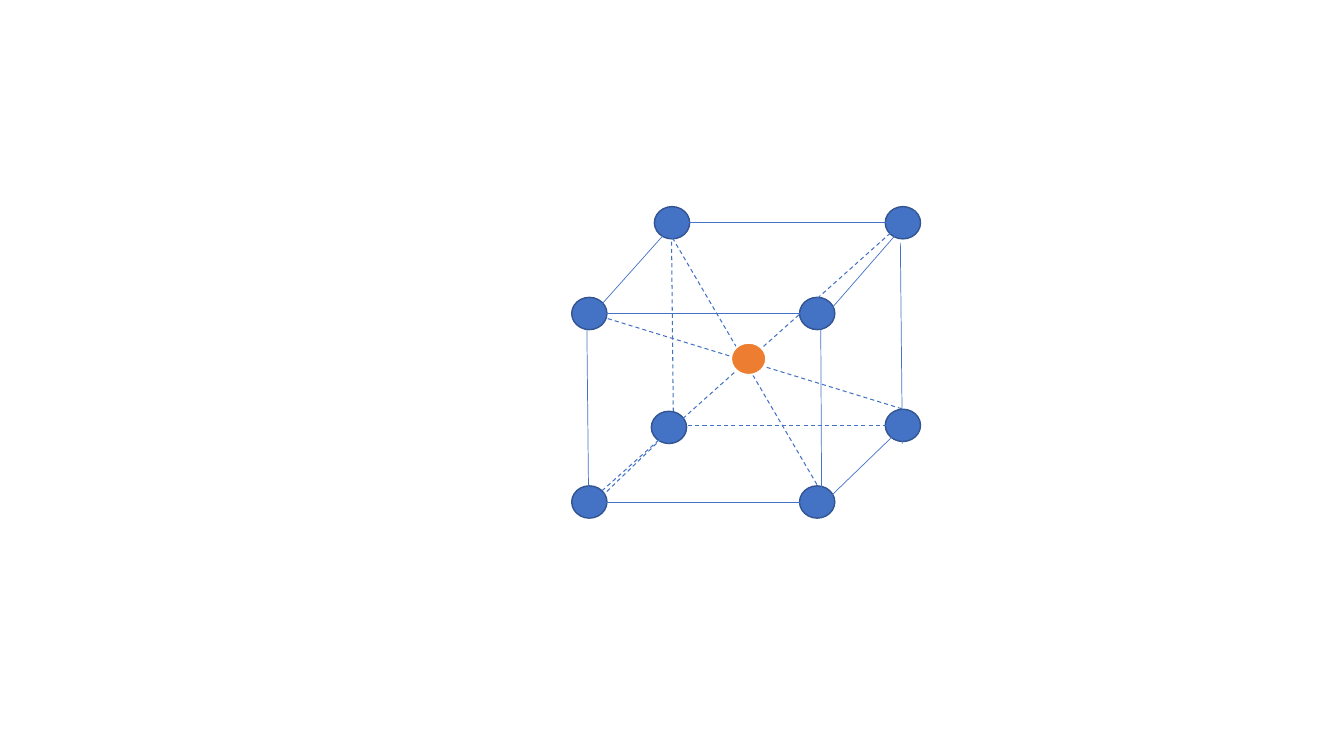
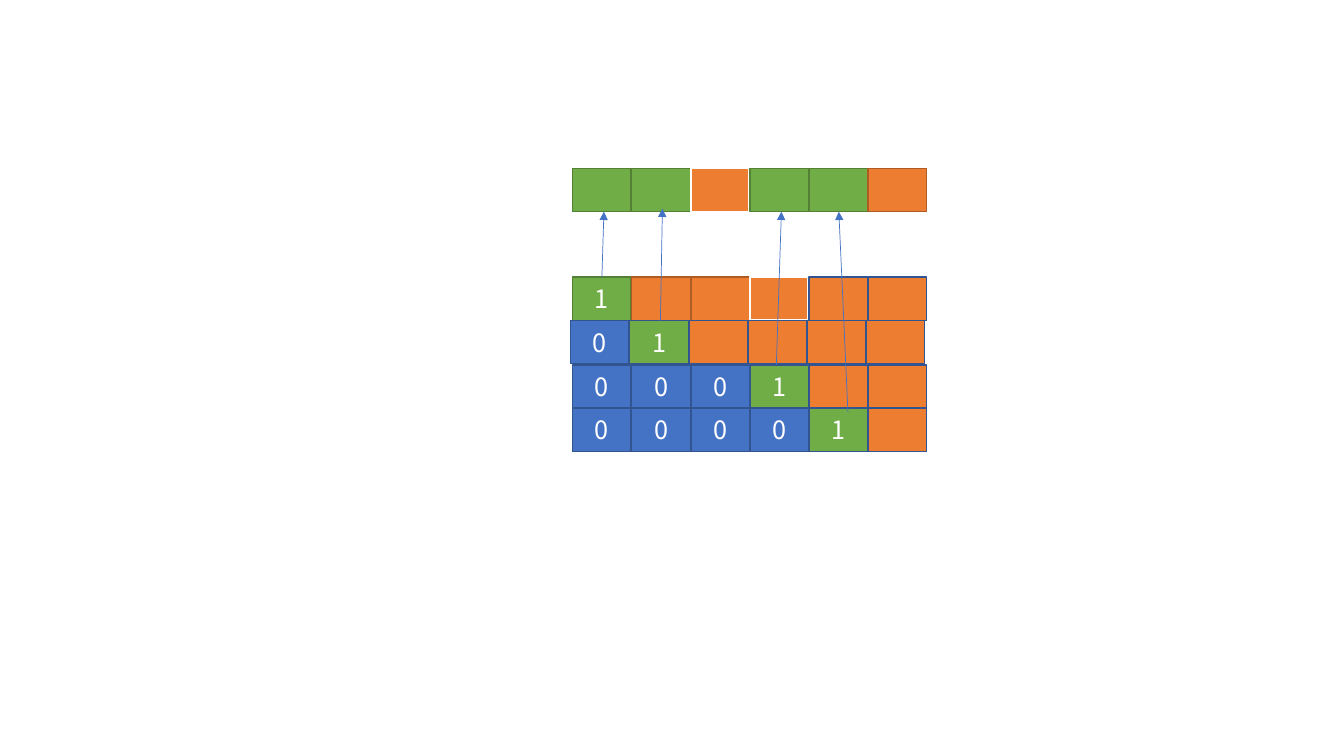
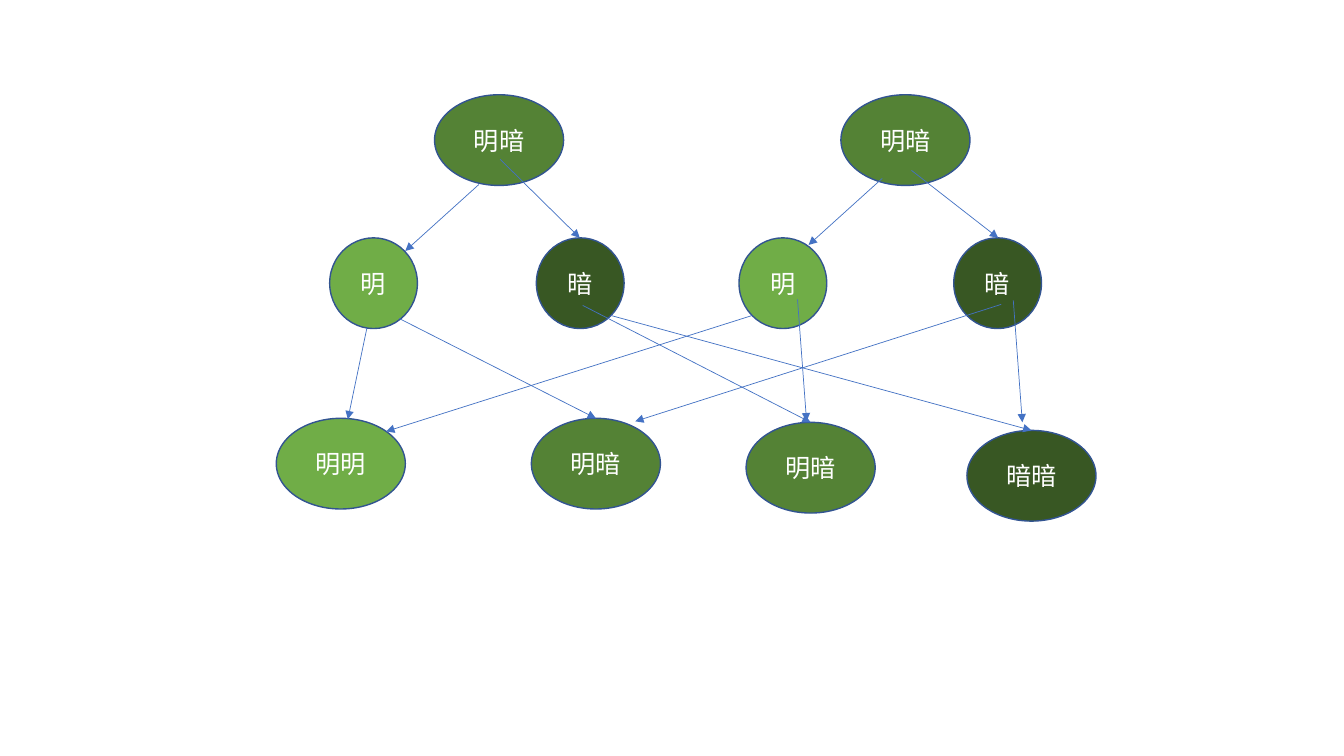
from dataclasses import dataclass

from pptx import Presentation
from pptx import util as u
from pptx.dml.color import RGBColor
from pptx.enum import dml, shapes, text
from pptx.oxml import ns
from lxml import etree


@dataclass(frozen=True)
class Theme:
    blue: str = "4472C4"
    navy: str = "325491"
    orange: str = "ED7D31"
    rust: str = "AF5C24"
    light_green: str = "70AD47"
    moss: str = "538035"
    green: str = "548235"
    dark_green: str = "385723"
    white: str = "FFFFFF"
    font: str = "Noto Sans CJK SC"
    text_size: float = 18
    thin: float = 0.5
    dashed: float = 0.75
    outline: float = 1
    bold_outline: float = 1.5


class Sketch:
    column = u.Inches(1)
    row = u.Inches(1)

    def __init__(self, theme):
        self.theme = theme
        self.deck = Presentation()
        self.deck.slide_width = int(13.33 * self.column)
        self.deck.slide_height = int(7.5 * self.row)
        self.page = None

    def add_page(self):
        self.page = self.deck.slides.add_slide(self.deck.slide_layouts[6])

    def place(self, across, down):
        return int(across * self.column), int(down * self.row)

    def box(self, kind, position, size, fill, border, label=""):
        box = self.page.shapes.add_shape(kind, *self.place(*position), *self.place(*size))
        box.shadow.inherit = False
        box.fill.solid()
        box.fill.fore_color.rgb = RGBColor.from_string(fill)
        box.line.color.rgb = RGBColor.from_string(border)
        heavy = border == self.theme.white
        box.line.width = u.Pt(self.theme.bold_outline if heavy else self.theme.outline)
        if label:
            self.label(box, label)

    def label(self, box, wording):
        frame = box.text_frame
        frame.text = wording
        frame.vertical_anchor = text.MSO_ANCHOR.MIDDLE
        para = frame.paragraphs[0]
        para.alignment = text.PP_ALIGN.CENTER
        for span in para.runs:
            span.font.size = u.Pt(self.theme.text_size)
            span.font.name = self.theme.font
            span.font.color.rgb = RGBColor.from_string(self.theme.white)
            east_asian = etree.SubElement(span.font._element, ns.qn("a:ea"))
            east_asian.set("typeface", self.theme.font)

    def oval(self, position, size, fill, border, label=""):
        self.box(shapes.MSO_SHAPE.OVAL, position, size, fill, border, label)

    def cell(self, position, size, fill, border, label=""):
        self.box(shapes.MSO_SHAPE.RECTANGLE, position, size, fill, border, label)

    def line(self, start, end, dashed=False, arrow=False):
        line = self.page.shapes.add_connector(
            shapes.MSO_CONNECTOR.STRAIGHT, *self.place(*start), *self.place(*end))
        line.line.color.rgb = RGBColor.from_string(self.theme.blue)
        line.line.width = u.Pt(self.theme.dashed if dashed else self.theme.thin)
        if dashed:
            line.line.dash_style = dml.MSO_LINE.DASH
        properties = line._element.spPr
        if arrow:
            tail = etree.SubElement(properties.find(ns.qn("a:ln")), ns.qn("a:tailEnd"))
            tail.set("type", "triangle")
        etree.SubElement(properties, ns.qn("a:effectLst"))


def draw_crystal(sketch):
    theme = sketch.theme
    atom_size = (0.35, 0.32)
    corners = [(5.67, 2.95), (7.93, 2.95), (7.93, 4.82), (5.67, 4.82),
               (6.49, 2.05), (8.78, 2.05), (8.78, 4.06), (6.46, 4.08)]
    edges = [((5.97, 3.11), (8.11, 3.11)), ((5.91, 4.98), (8.05, 4.98)),
             ((5.84, 5.14), (5.82, 3.16)), ((8.15, 5.14), (8.14, 3.16)),
             ((8.95, 4.4), (8.93, 2.41)), ((6.72, 2.21), (8.85, 2.21)),
             ((6.69, 2.21), (5.94, 3.05)), ((8.97, 2.23), (8.23, 3.08)),
             ((9.08, 4.11), (8.18, 4.98))]
    hidden_edges = [((6.68, 4.3), (6.66, 2.32)), ((6.68, 4.22), (8.81, 4.22)),
                    ((6.77, 4.15), (5.87, 5.02))]
    diagonals = [((5.97, 4.87), (9.08, 2.09)), ((6.67, 2.36), (8.11, 4.82)),
                 ((5.96, 3.14), (8.96, 4.06))]
    sketch.add_page()
    for corner in corners[:-1]:
        sketch.oval(corner, atom_size, theme.blue, theme.navy)
    for start, end in edges:
        sketch.line(start, end)
    for start, end in hidden_edges[:2]:
        sketch.line(start, end, dashed=True)
    sketch.oval(corners[-1], atom_size, theme.blue, theme.navy)
    for start, end in hidden_edges[2:] + diagonals:
        sketch.line(start, end, dashed=True)
    sketch.oval((7.25, 3.4), atom_size, theme.orange, theme.white)


def draw_echelon(sketch):
    theme = sketch.theme
    cell_size = (0.58, 0.43)
    pitch = 2.93 / 5
    fills = {"1": theme.light_green, "0": theme.blue, "-": theme.orange,
             "p": theme.light_green}
    borders = {"g": theme.moss, "r": theme.rust, "n": theme.navy, "w": theme.white}
    rows = [(5.68, 2.75, "1-----", "grrwnn"),
            (5.66, 3.18, "01----", "nnnnnn"),
            (5.68, 3.62, "0001--", "nnnnnn"),
            (5.68, 4.05, "00001-", "nnnnnn"),
            (5.68, 1.67, "pp-pp-", "ggwggr")]
    pivots = [((5.97, 2.75), (5.99, 2.1)), ((6.55, 3.18), (6.57, 2.07)),
              ((7.7, 3.62), (7.75, 2.1)), ((8.41, 4.09), (8.32, 2.1))]
    sketch.add_page()
    for left, top, entries, edges in rows:
        for index, (entry, edge) in enumerate(zip(entries, edges)):
            label = entry if entry.isdigit() else ""
            sketch.cell((left + index * pitch, top), cell_size,
                        fills[entry], borders[edge], label)
    for start, end in pivots:
        sketch.line(start, end, arrow=True)


def draw_inheritance(sketch):
    theme = sketch.theme
    fills = {"明": theme.light_green, "暗": theme.dark_green, "明明": theme.light_green,
             "明暗": theme.green, "暗暗": theme.dark_green}
    widths = {1: 0.87, 2: 1.28}
    genes = [("明暗", 4.31, 0.94), ("明暗", 8.34, 0.94),
             ("明", 3.27, 2.36), ("暗", 5.32, 2.36),
             ("明", 7.33, 2.36), ("暗", 9.46, 2.36),
             ("明明", 2.74, 4.15), ("明暗", 5.27, 4.15),
             ("明暗", 7.4, 4.19), ("暗暗", 9.59, 4.27)]
    arrows = [((4.75, 1.83), (4.02, 2.49)), ((4.96, 1.58), (5.75, 2.36)),
              ((8.75, 1.77), (8.02, 2.43)), ((9.04, 1.69), (9.9, 2.36)),
              ((3.64, 3.25), (3.45, 4.16)), ((3.96, 3.16), (5.91, 4.15)),
              ((5.78, 3.03), (8.04, 4.19)), ((6.06, 3.13), (10.23, 4.27)),
              ((7.46, 3.13), (3.83, 4.28)), ((7.91, 2.97), (8, 4.18)),
              ((10.05, 2.98), (10.14, 4.19)), ((9.93, 3.02), (6.3, 4.18))]
    sketch.add_page()
    for label, left, top in genes:
        sketch.oval((left, top), (widths[len(label)], 0.9), fills[label], theme.navy, label)
    for start, end in arrows:
        sketch.line(start, end, arrow=True)


sketch = Sketch(Theme())
draw_crystal(sketch)
draw_echelon(sketch)
draw_inheritance(sketch)
sketch.deck.save("out.pptx")
